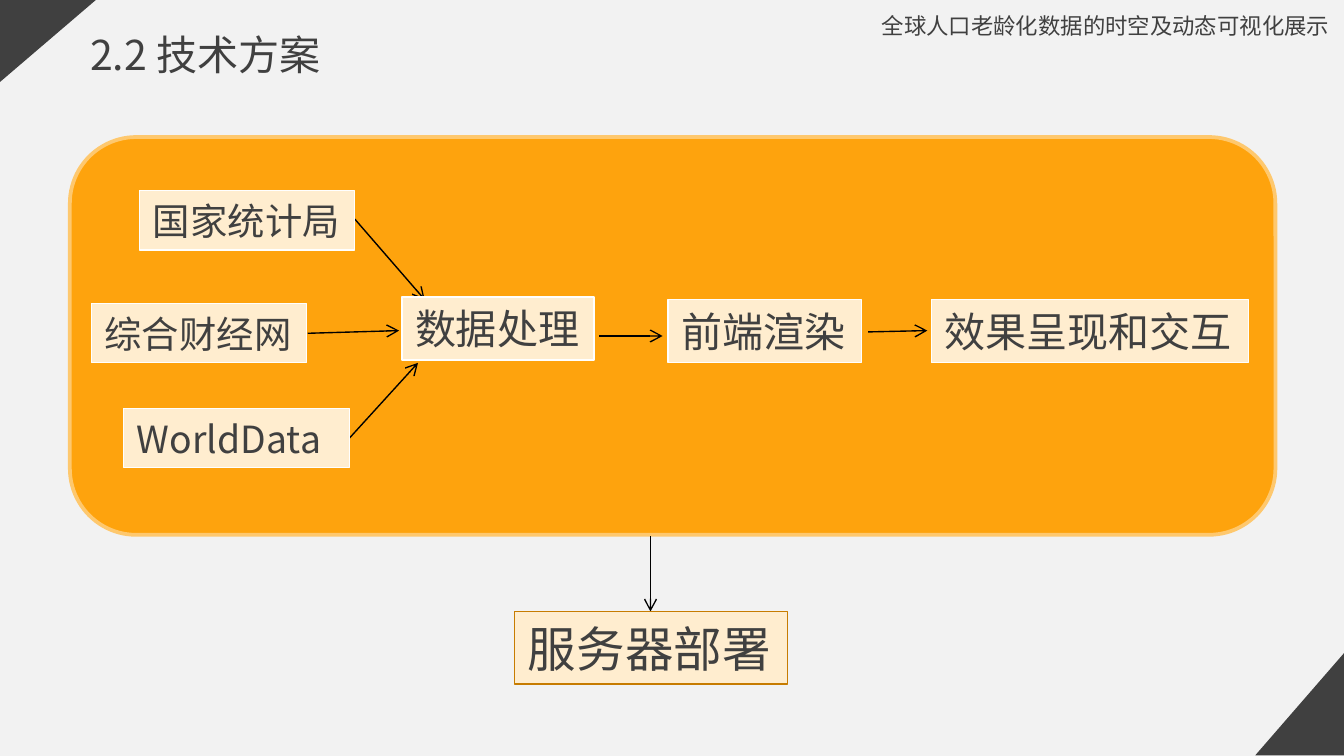
from pptx import Presentation
from pptx.dml.color import RGBColor
from pptx.enum.shapes import MSO_CONNECTOR, MSO_SHAPE
from pptx.enum.text import MSO_ANCHOR, MSO_AUTO_SIZE, PP_ALIGN
from pptx.oxml.ns import qn
from pptx.util import Inches, Pt
from lxml import etree

RECT, ROUND, TRIANGLE = MSO_SHAPE.RECTANGLE, MSO_SHAPE.ROUNDED_RECTANGLE, MSO_SHAPE.ISOSCELES_TRIANGLE
FONT = "Noto Sans CJK SC"
DARK, PAPER, ORANGE, ORANGE_EDGE = "404040", "F2F2F2", "FEA30D", "FEC86E"
CREAM, WHITE, BROWN, BLACK = "FFEDCF", "FFFFFF", "C77C01", "000000"

TITLE = "2.2 技术方案"
HEADER = "全球人口老龄化数据的时空及动态可视化展示"

# text, left, top, width, height, font size, border
STEPS = [
    ("国家统计局", 1.04, 1.42, 1.6, 0.44, 20, WHITE),
    ("综合财经网", 0.68, 2.26, 1.6, 0.44, 20, WHITE),
    ("WorldData", 0.92, 3.04, 1.68, 0.44, 20, WHITE),
    ("数据处理", 2.99, 2.21, 1.43, 0.47, 22, WHITE),
    ("前端渲染", 4.97, 2.23, 1.44, 0.47, 22, WHITE),
    ("效果呈现和交互", 6.93, 2.23, 2.36, 0.47, 22, WHITE),
    ("服务器部署", 3.83, 4.55, 2.03, 0.54, 26, BROWN),
]
# x1, y1, x2, y2
ARROWS = [
    (2.64, 1.63, 3.16, 2.23),
    (2.29, 2.48, 2.97, 2.46),
    (2.6, 3.26, 3.11, 2.7),
    (4.46, 2.5, 4.93, 2.5),
    (6.46, 2.47, 6.9, 2.46),
    (4.84, 3.99, 4.84, 4.55),
]
# left, top, width, height as seen after the turn, rotation
CORNERS = [(0, -0.04, 0.76, 0.65, 90), (9.34, 4.86, 0.66, 0.76, 270)]


def rgb(color):
    return RGBColor.from_string(color)


def write(tf, text, size):
    p = tf.paragraphs[0]
    p.alignment = PP_ALIGN.LEFT
    r = p.add_run()
    r.text = text
    r.font.size = Pt(size)
    r.font.name = FONT
    r.font.color.rgb = rgb(DARK)
    etree.SubElement(r.font._element, qn("a:ea"), typeface=FONT)


def write_heading(sp, text, size):
    tf = sp.text_frame
    tf.word_wrap = True
    tf.auto_size = MSO_AUTO_SIZE.NONE
    tf.vertical_anchor = MSO_ANCHOR.MIDDLE
    tf.margin_left = tf.margin_right = 0
    write(tf, text, size)


def add_shape(kind, x, y, w, h, fill, border=None, weight=0.75):
    sp = slide.shapes.add_shape(kind, Inches(x), Inches(y), Inches(w), Inches(h))
    sp.shadow.inherit = False
    sp.fill.solid()
    sp.fill.fore_color.rgb = rgb(fill)
    if border:
        sp.line.color.rgb = rgb(border)
        sp.line.width = Pt(weight)
    else:
        sp.line.fill.background()
    return sp


def add_corner(x, y, w, h, rotation):
    """Quarter-turned right triangle; its frame swaps width and height."""
    sp = add_shape(TRIANGLE, x + (w - h) / 2, y + (h - w) / 2, h, w, DARK)
    sp.adjustments[0] = 0
    sp.rotation = rotation


def add_step(text, x, y, w, h, size, border):
    tf = add_shape(RECT, x, y, w, h, CREAM, border).text_frame
    tf.word_wrap = False
    tf.auto_size = MSO_AUTO_SIZE.SHAPE_TO_FIT_TEXT
    write(tf, text, size)


def add_arrow(*ends):
    line = slide.shapes.add_connector(MSO_CONNECTOR.STRAIGHT, *map(Inches, ends))
    line.line.color.rgb = rgb(BLACK)
    line.line.width = Pt(0.75)
    etree.SubElement(line.line._get_or_add_ln(), qn("a:tailEnd"), type="arrow")
    etree.SubElement(line._element.spPr, qn("a:effectLst"))


prs = Presentation()
prs.slide_width = Inches(10)
prs.slide_height = Inches(10 * 9 / 16)
slide = prs.slides.add_slide(prs.slide_layouts[5])
slide.background.fill.solid()
slide.background.fill.fore_color.rgb = rgb(PAPER)

title = slide.shapes.title
title.left, title.top, title.width, title.height = map(Inches, (0.67, 0.19, 2.33, 0.42))
write_heading(title, TITLE, 22)
header = slide.shapes.add_textbox(*map(Inches, (6.56, -0.07, 3.42, 0.52)))
write_heading(header, HEADER, 12)

for corner in CORNERS:
    add_corner(*corner)
add_shape(ROUND, 0.52, 1.02, 8.97, 2.96, ORANGE, ORANGE_EDGE, 2)
for arrow in ARROWS:
    add_arrow(*arrow)
for step in STEPS:
    add_step(*step)

prs.save("out.pptx")
